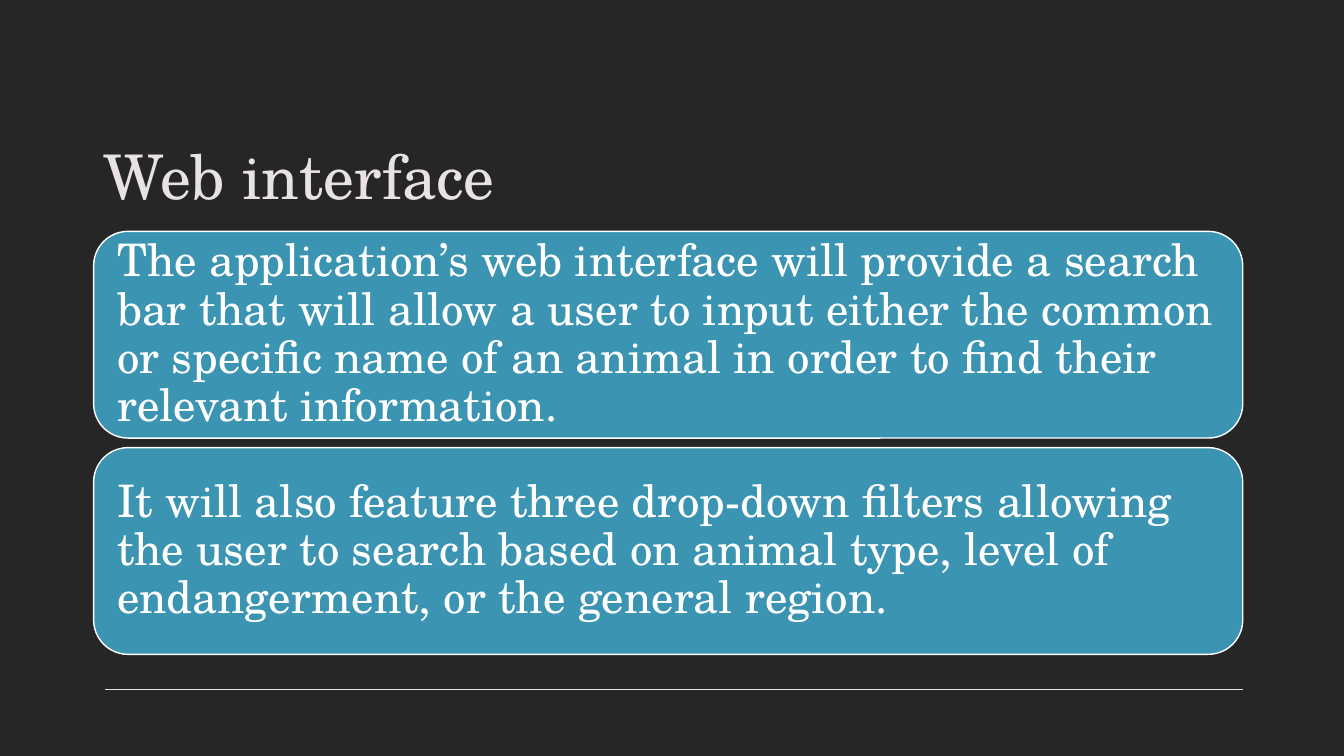
from pptx import Presentation
from pptx.dml.color import RGBColor
from pptx.enum.shapes import MSO_CONNECTOR as Connector, MSO_SHAPE as Shape
from pptx.enum.text import MSO_ANCHOR as Anchor, PP_ALIGN as Align
from pptx.oxml.ns import qn
from pptx.util import Cm, Pt
from lxml.etree import SubElement

COLORS = {"background": "262626", "title": "E8E3E2", "card": "3B94B1", "white": "FFFFFF"}
FONT = "TeX Gyre Schola"

LEFT, WIDTH = 2.36, 28.96
CARD_TOP, CARD_HEIGHT, CARD_GAP = 5.83, 5.21, 0.24
STATEMENTS = [
    "The application’s web interface will provide a search bar that will allow a user to "
    "input either the common or specific name of an animal in order to find their "
    "relevant information.",
    "It will also feature three drop-down filters allowing the user to search based on "
    "animal type, level of endangerment, or the general region.",
]


def color(name):
    return RGBColor.from_string(COLORS[name])


class PageBuilder:
    """Holds the page and draws its elements in one style; lengths are in cm."""

    def __init__(self, page):
        self.page = page
        page.background.fill.solid()
        page.background.fill.fore_color.rgb = color("background")

    def fill_text(self, frame, text, size, color_name, anchor, spacing=1.0):
        frame.word_wrap = True
        frame.vertical_anchor = anchor
        para = frame.paragraphs[0]
        para.text = text
        para.alignment = Align.LEFT
        para.line_spacing = spacing
        para.font.name = FONT
        para.font.size = Pt(size)
        para.font.color.rgb = color(color_name)

    def title(self, text, left, top, width, height):
        box = self.page.shapes.add_textbox(Cm(left), Cm(top), Cm(width), Cm(height))
        self.fill_text(box.text_frame, text, 44, "title", Anchor.BOTTOM)

    def card(self, text, left, top, width, height):
        card = self.page.shapes.add_shape(
            Shape.ROUNDED_RECTANGLE, Cm(left), Cm(top), Cm(width), Cm(height))
        card.shadow.inherit = False
        card.fill.solid()
        card.fill.fore_color.rgb = color("card")
        card.line.color.rgb = color("white")
        card.line.width = Pt(1)
        frame = card.text_frame
        frame.margin_left = frame.margin_right = Cm(0.34)
        frame.margin_top = frame.margin_bottom = Cm(0.34)
        self.fill_text(frame, text, 32, "white", Anchor.MIDDLE, spacing=0.9)

    def rule(self, left, right, height):
        """Draw a thin horizontal line at the given height."""
        line = self.page.shapes.add_connector(
            Connector.STRAIGHT, Cm(left), Cm(height), Cm(right), Cm(height))
        line.line.color.rgb = color("title")
        line.line.width = Pt(0.85)
        SubElement(line._element.spPr, qn("a:effectLst"))


def main():
    deck = Presentation()
    deck.slide_width, deck.slide_height = Cm(33.87), Cm(19.05)
    builder = PageBuilder(deck.slides.add_slide(deck.slide_layouts[6]))

    builder.rule(2.65, LEFT + WIDTH, 17.37)
    builder.title("Web interface", LEFT, 2.44, WIDTH, 3.02)
    for index, statement in enumerate(STATEMENTS):
        top = CARD_TOP + index * (CARD_HEIGHT + CARD_GAP)
        builder.card(statement, LEFT, top, WIDTH, CARD_HEIGHT)

    deck.save("out.pptx")


if __name__ == "__main__":
    main()
